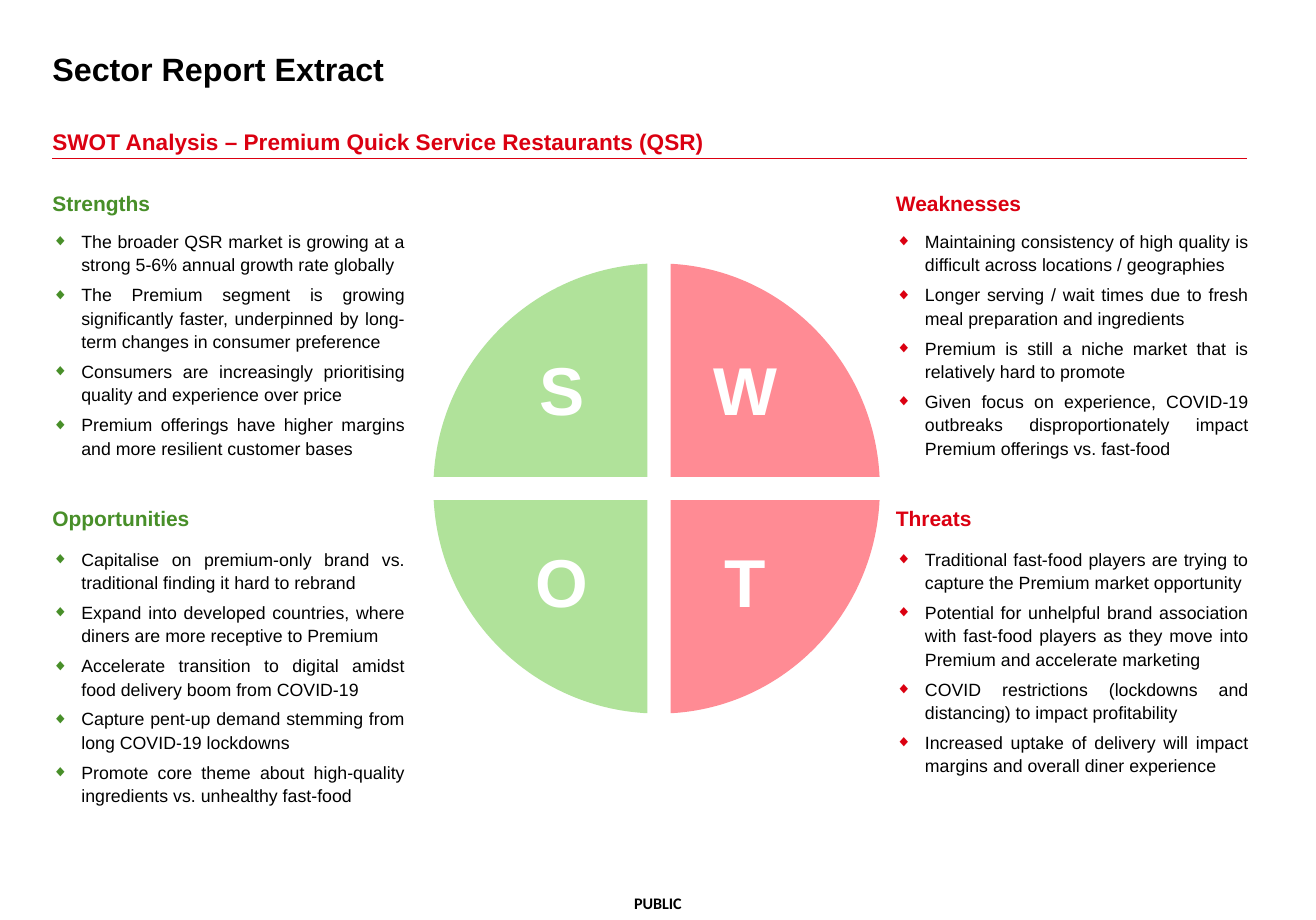
from math import asin, cos, pi, sin, tan

from lxml.etree import SubElement
from pptx import Presentation
from pptx.dml.color import RGBColor
from pptx.enum.shapes import MSO_CONNECTOR
from pptx.enum.text import MSO_ANCHOR as Anchor, PP_ALIGN as Align
from pptx.oxml.ns import qn
from pptx.util import Pt

GREEN, RED, BLACK, WHITE = "488F29", "DB0011", "000000", "FFFFFF"
PALE_GREEN, PALE_RED = "B0E29A", "FF8B94"

TITLE = "Sector Report Extract"
SUBTITLE = "SWOT Analysis – Premium Quick Service Restaurants (QSR)"
FOOTER = "PUBLIC"
QUADRANTS = [
    ("Strengths", -1, -1, 42.5, [
        "The broader QSR market is growing at a strong 5-6% annual growth rate globally",
        "The Premium segment is growing significantly faster, underpinned by long-term changes in consumer preference",
        "Consumers are increasingly prioritising quality and experience over price",
        "Premium offerings have higher margins and more resilient customer bases",
    ]),
    ("Weaknesses", 1, -1, 54.7, [
        "Maintaining consistency of high quality is difficult across locations / geographies",
        "Longer serving / wait times due to fresh meal preparation and ingredients",
        "Premium is still a niche market that is relatively hard to promote",
        "Given focus on experience, COVID-19 outbreaks disproportionately impact Premium offerings vs. fast-food",
    ]),
    ("Opportunities", -1, 1, 47.5, [
        "Capitalise on premium-only brand vs. traditional finding it hard to rebrand",
        "Expand into developed countries, where diners are more receptive to Premium",
        "Accelerate transition to digital amidst food delivery boom from COVID-19",
        "Capture pent-up demand stemming from long COVID-19 lockdowns",
        "Promote core theme about high-quality ingredients vs. unhealthy fast-food",
    ]),
    ("Threats", 1, 1, 40.3, [
        "Traditional fast-food players are trying to capture the Premium market opportunity",
        "Potential for unhelpful brand association with fast-food players as they move into Premium and accelerate marketing",
        "COVID restrictions (lockdowns and distancing) to impact profitability",
        "Increased uptake of delivery will impact margins and overall diner experience",
    ]),
]

MARGIN, RIGHT_EDGE = 32.5, 773.8
CENTER_X, CENTER_Y, HALF_GAP, REACH_Y = 408.9, 303.2, 7.2, 139.7
SIDES = {
    -1: dict(left=MARGIN, reach=140, letter=348.6, dark=GREEN, pale=PALE_GREEN),
    1: dict(left=555.9, reach=137, letter=462.4, dark=RED, pale=PALE_RED),
}
ROWS = {
    -1: dict(heading=114.6, bullets=142, letter=212),
    1: dict(heading=309.9, bullets=339.1, letter=331.2),
}


def color(value):
    return RGBColor.from_string(value)


def add_text(slide, lines, left, top, width, height, size, fill, bold=True,
             align=Align.LEFT, anchor=Anchor.TOP, font="Arial", spacing=1.0, inset=0, wrap=True):
    box = slide.shapes.add_textbox(Pt(left), Pt(top), Pt(width), Pt(height))
    frame = box.text_frame
    frame.word_wrap = wrap
    frame.vertical_anchor = anchor
    frame.margin_left = frame.margin_right = 0
    frame.margin_top = frame.margin_bottom = Pt(inset)
    frame.text = "\n".join(lines)
    for paragraph in frame.paragraphs:
        paragraph.alignment = align
        paragraph.line_spacing = spacing
        paragraph.font.name = font
        paragraph.font.size = Pt(size)
        paragraph.font.bold = bold
        paragraph.font.color.rgb = color(fill)
    return frame


def add_bullets(frame, fill):
    for paragraph in frame.paragraphs:
        paragraph.space_before = paragraph.space_after = Pt(2)
        properties = paragraph._p.get_or_add_pPr()
        properties.set("marL", str(Pt(18)))
        properties.set("indent", str(-Pt(18)))
        default_run = properties.find(qn("a:defRPr"))
        properties.remove(default_run)
        bullet_color = SubElement(properties, qn("a:buClr"))
        SubElement(bullet_color, qn("a:srgbClr"), val=fill)
        SubElement(properties, qn("a:buSzPct"), val="90000")
        SubElement(properties, qn("a:buFont"), typeface="Arial")
        SubElement(properties, qn("a:buChar"), char="◆")
        properties.append(default_run)


def add_quarter(slide, side_x, side_y, reach_x, fill):
    start = asin(HALF_GAP / REACH_Y)
    end = pi / 2 - asin(HALF_GAP / reach_x)
    pull = 4 / 3 * tan((end - start) / 4)

    def arc_point(angle, offset=0):
        across = cos(angle) - offset * sin(angle)
        down = sin(angle) + offset * cos(angle)
        return (Pt(CENTER_X + side_x * reach_x * across),
                Pt(CENTER_Y + side_y * REACH_Y * down))

    curve = [arc_point(start, pull), arc_point(end, -pull), arc_point(end)]
    builder = slide.shapes.build_freeform(
        Pt(CENTER_X + side_x * HALF_GAP), Pt(CENTER_Y + side_y * HALF_GAP))
    builder.add_line_segments([arc_point(start), arc_point(end)], close=True)
    shape = builder.convert_to_shape()
    shape.shadow.inherit = False
    shape.fill.solid()
    shape.fill.fore_color.rgb = color(fill)
    shape.line.fill.background()

    chord = list(shape._element.iter(qn("a:lnTo")))[-1]
    outline = chord.getparent()
    bezier = SubElement(outline, qn("a:cubicBezTo"))
    for x, y in curve:
        SubElement(bezier, qn("a:pt"), x=str(x - shape.left), y=str(y - shape.top))
    outline.replace(chord, bezier)


def add_rule(slide, left, right, top, fill):
    rule = slide.shapes.add_connector(
        MSO_CONNECTOR.STRAIGHT, Pt(left), Pt(top), Pt(right), Pt(top))
    rule.line.width = Pt(0.5)
    rule.line.fill.solid()
    rule.line.fill.fore_color.rgb = color(fill)
    SubElement(rule._element.spPr, qn("a:effectLst"))
    rule._element.remove(rule._element.find(qn("p:style")))


def main():
    presentation = Presentation()
    presentation.slide_width, presentation.slide_height = Pt(816.5), Pt(571)
    slide = presentation.slides.add_slide(presentation.slide_layouts[6])

    add_text(slide, [TITLE], MARGIN, 33.1, 751, 19.4, 20, BLACK, spacing=0.9)
    add_text(slide, [SUBTITLE], MARGIN, 79.2, 489.6, 17, 14, RED)
    add_rule(slide, MARGIN, RIGHT_EDGE, 98.1, RED)
    add_text(slide, [FOOTER], 383, 550, 50.4, 21, 10, BLACK,
             align=Align.CENTER, anchor=Anchor.MIDDLE, font="Calibri")

    for heading, side_x, side_y, letter_width, points in QUADRANTS:
        side, row = SIDES[side_x], ROWS[side_y]
        add_quarter(slide, side_x, side_y, side["reach"], side["pale"])
        add_text(slide, [heading[0]], side["letter"] - letter_width / 2, row["letter"],
                 letter_width, 58.3, 42, WHITE, align=Align.CENTER,
                 anchor=Anchor.MIDDLE, wrap=False)
        add_text(slide, [heading], side["left"], row["heading"], 159, 23, 13,
                 side["dark"], anchor=Anchor.BOTTOM, inset=3.6)
        frame = add_text(slide, points, side["left"], row["bullets"], 218.9, 123, 11,
                         BLACK, bold=False, align=Align.JUSTIFY, spacing=1.1)
        add_bullets(frame, side["dark"])

    presentation.save("out.pptx")


if __name__ == "__main__":
    main()
